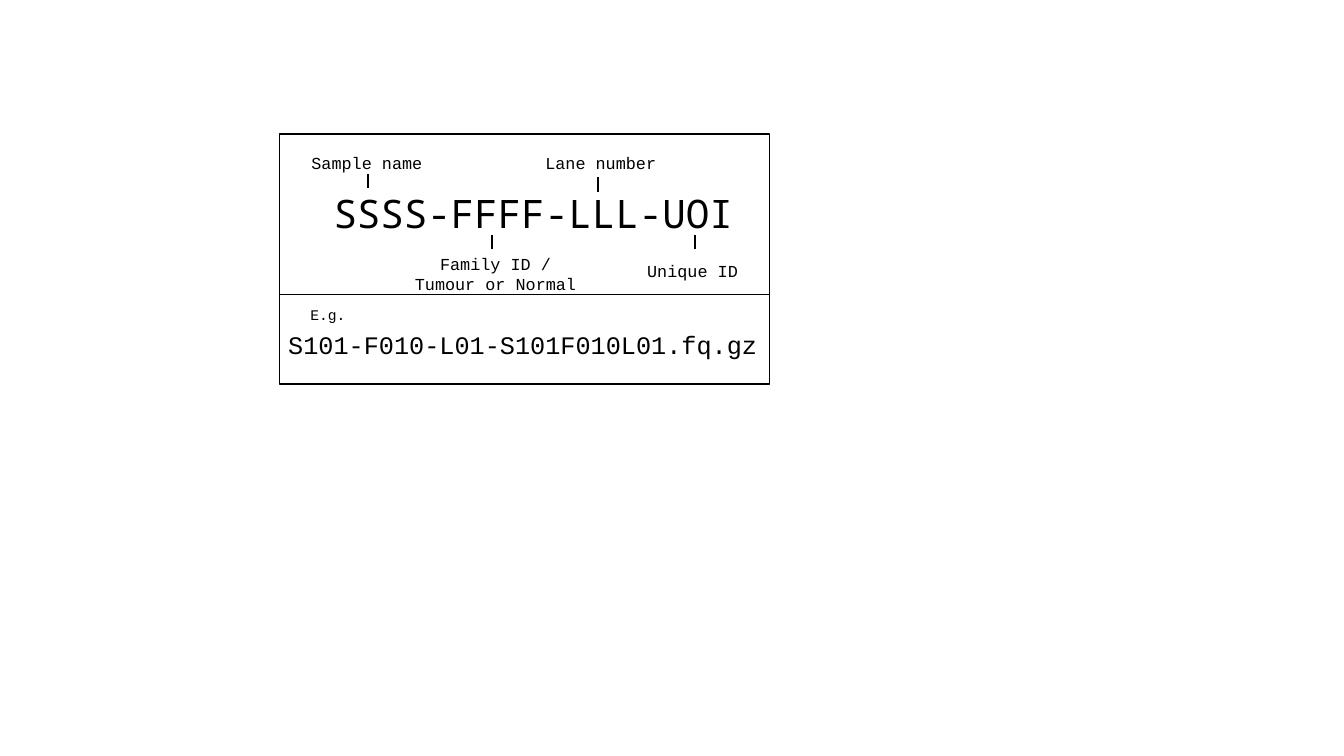
from pptx import Presentation
from pptx.dml.color import RGBColor
from pptx.enum.shapes import MSO_CONNECTOR, MSO_SHAPE
from pptx.enum.text import MSO_AUTO_SIZE, PP_ALIGN
from pptx.util import Inches, Pt
from lxml import etree

LINE = MSO_CONNECTOR.STRAIGHT
RECT = MSO_SHAPE.RECTANGLE
GROW = MSO_AUTO_SIZE.SHAPE_TO_FIT_TEXT
LEFT, CENTER = PP_ALIGN.LEFT, PP_ALIGN.CENTER
BLACK = "000000"
MONO, COURIER = "Noto Sans Mono", "Courier New"
DRAW = "http://schemas.openxmlformats.org/drawingml/2006/main"

TEXTS = [
    (["SSSS-FFFF-LLL-UOI"], (3.21, 1.83, 4.2, 0.57), 28, MONO, LEFT),
    (["S101-F010-L01-S101F010L01.fq.gz"], (2.76, 3.22, 4.88, 0.4), 18, COURIER, LEFT),
    (["Sample name"], (2.99, 1.47, 1.32, 0.3), 12, COURIER, LEFT),
    (["Family ID /", "Tumour or Normal"], (4, 2.47, 1.83, 0.5), 12, COURIER, CENTER),
    (["Lane number"], (5.31, 1.47, 1.32, 0.3), 12, COURIER, LEFT),
    (["Unique ID"], (6.32, 2.54, 1.12, 0.3), 12, COURIER, LEFT),
    (["E.g."], (2.98, 2.98, 0.57, 0.29), 10.5, COURIER, LEFT),
]
TICKS = [(3.65, 1.73), (5.93, 1.76), (4.88, 2.33), (6.89, 2.33)]
TICK = 0.14
FRAME = (2.77, 1.33, 4.86, 2.48)
SPLIT = 2.92


def paint(color, code):
    color.rgb = RGBColor.from_string(code)


def add_text(slide, lines, spot, size, font, align):
    box = slide.shapes.add_textbox(*map(Inches, spot))
    frame = box.text_frame
    frame.word_wrap = False
    frame.auto_size = GROW
    frame.text = "\n".join(lines)
    for para in frame.paragraphs:
        para.alignment = align
        para.font.size = Pt(size)
        para.font.name = font
        paint(para.font.color, BLACK)


def add_line(slide, start, end, width):
    line = slide.shapes.add_connector(LINE, *map(Inches, start + end))
    line.line.width = Pt(width)
    paint(line.line.color, BLACK)
    etree.SubElement(line._element.spPr, f"{{{DRAW}}}effectLst")


deck = Presentation()
deck.slide_width, deck.slide_height = Inches(13.33), Inches(7.5)
slide = deck.slides.add_slide(deck.slide_layouts[6])

for item in TEXTS:
    add_text(slide, *item)

for x, y in TICKS:
    add_line(slide, (x, y), (x, y + TICK), 1.5)

frame = slide.shapes.add_shape(RECT, *map(Inches, FRAME))
frame.shadow.inherit = False
frame.fill.background()
frame.line.width = Pt(1)
paint(frame.line.color, BLACK)

left, _, width, _ = FRAME
add_line(slide, (left, SPLIT), (left + width, SPLIT), 0.5)

deck.save("out.pptx")
